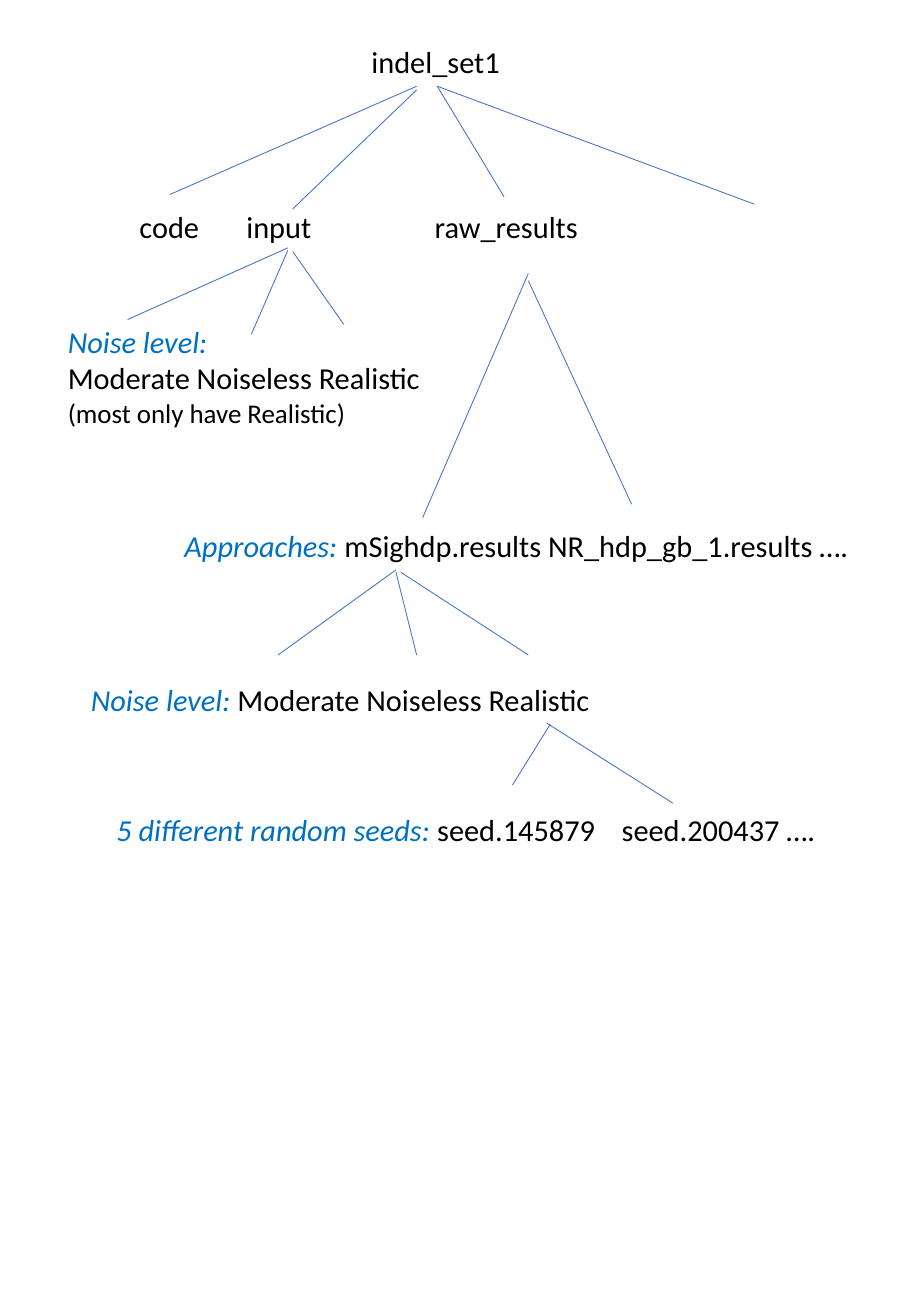
from typing import NamedTuple

from lxml import etree
from pptx import Presentation
from pptx.dml.color import RGBColor
from pptx.enum import shapes, text
from pptx.oxml import ns
from pptx.util import Inches, Pt

BLACK, LABEL_BLUE, BRANCH_BLUE = "000000", "0070C0", "4472C4"


class Run(NamedTuple):
    text: str
    size: int = 18
    color: str = BLACK
    italic: bool = False


class Node(NamedTuple):
    left: float
    top: float
    width: float
    height: float
    lines: list[list[Run]]


class Branch(NamedTuple):
    start: tuple[float, float]
    end: tuple[float, float]


def rgb(color: str) -> RGBColor:
    return RGBColor.from_string(color)


def label(words: str) -> Run:
    return Run(words, color=LABEL_BLUE, italic=True)


def add_run(p, words: str, *, size: int, color: str, italic: bool) -> None:
    r = p.add_run()
    r.text = words
    r.font.name = "Calibri"
    r.font.size = Pt(size)
    r.font.italic = italic
    r.font.color.rgb = rgb(color)


def draw_node(s, node: Node) -> None:
    sp = s.shapes.add_textbox(*(Inches(v) for v in node[:4]))
    tf = sp.text_frame
    tf.word_wrap = False
    tf.auto_size = text.MSO_AUTO_SIZE.SHAPE_TO_FIT_TEXT
    for i, line in enumerate(node.lines):
        p = tf.add_paragraph() if i else tf.paragraphs[0]
        for run in line:
            add_run(p, run.text, size=run.size, color=run.color, italic=run.italic)


def draw_branch(s, branch: Branch) -> None:
    ends = (Inches(v) for v in branch.start + branch.end)
    sp = s.shapes.add_connector(shapes.MSO_CONNECTOR.STRAIGHT, *ends)
    sp.line.color.rgb = rgb(BRANCH_BLUE)
    sp.line.width = Pt(0.5)
    etree.SubElement(sp.element.spPr, ns.qn("a:effectLst"))


LEVELS = "Moderate Noiseless Realistic"
ROW = 0.4

NODES = [
    # Root folder
    Node(2.96, 0.31, 1.27, ROW, [[Run("indel_set1")]]),
    # Subfolders
    Node(1.05, 1.66, 0.8, ROW, [[Run("code")]]),
    Node(1.93, 1.66, 0.85, ROW, [[Run("input")]]),
    Node(3.48, 1.66, 1.5, ROW, [[Run("raw_results")]]),
    # Inputs by noise level
    Node(0.46, 2.61, 3.13, 1.01, [
        [label("Noise level:")],
        [Run(LEVELS)],
        [Run("(most only have Realistic)", size=16)],
    ]),
    # Results by approach, noise level and seed
    Node(1.42, 4.29, 5.74, ROW, [
        [label("Approaches: "), Run("mSighdp.results NR_hdp_gb_1.results ….")]]),
    Node(0.65, 5.56, 4.37, ROW, [[label("Noise level: "), Run(LEVELS)]]),
    Node(0.86, 6.63, 4.2, ROW, [
        [label("5 different random seeds: "), Run("seed.145879")]]),
    Node(5.02, 6.63, 1.9, ROW, [[Run("seed.200437 ….")]]),
]

BRANCHES = [
    # Root to subfolders
    Branch((3.43, 0.71), (1.4, 1.6)),
    Branch((3.43, 0.74), (2.41, 1.72)),
    Branch((3.6, 0.71), (4.15, 1.62)),
    Branch((3.6, 0.71), (6.21, 1.68)),
    # Input to noise levels
    Branch((2.37, 2.04), (1.05, 2.63)),
    Branch((2.37, 2.06), (2.07, 2.75)),
    Branch((2.41, 2.07), (2.83, 2.67)),
    # Raw results to approaches
    Branch((4.35, 2.25), (3.48, 4.26)),
    Branch((4.35, 2.31), (5.2, 4.15)),
    # Approach to noise levels
    Branch((3.26, 4.69), (2.29, 5.39)),
    Branch((3.26, 4.71), (3.43, 5.39)),
    Branch((3.3, 4.71), (4.35, 5.39)),
    # Noise level to seeds
    Branch((4.53, 5.96), (4.22, 6.46)),
    Branch((4.5, 5.95), (5.54, 6.61)),
]

prs = Presentation()
prs.slide_width, prs.slide_height = Inches(7.5), Inches(10.83)
s = prs.slides.add_slide(prs.slide_layouts.get_by_name("Blank"))

for node in NODES:
    draw_node(s, node)
for branch in BRANCHES:
    draw_branch(s, branch)

prs.save("out.pptx")
